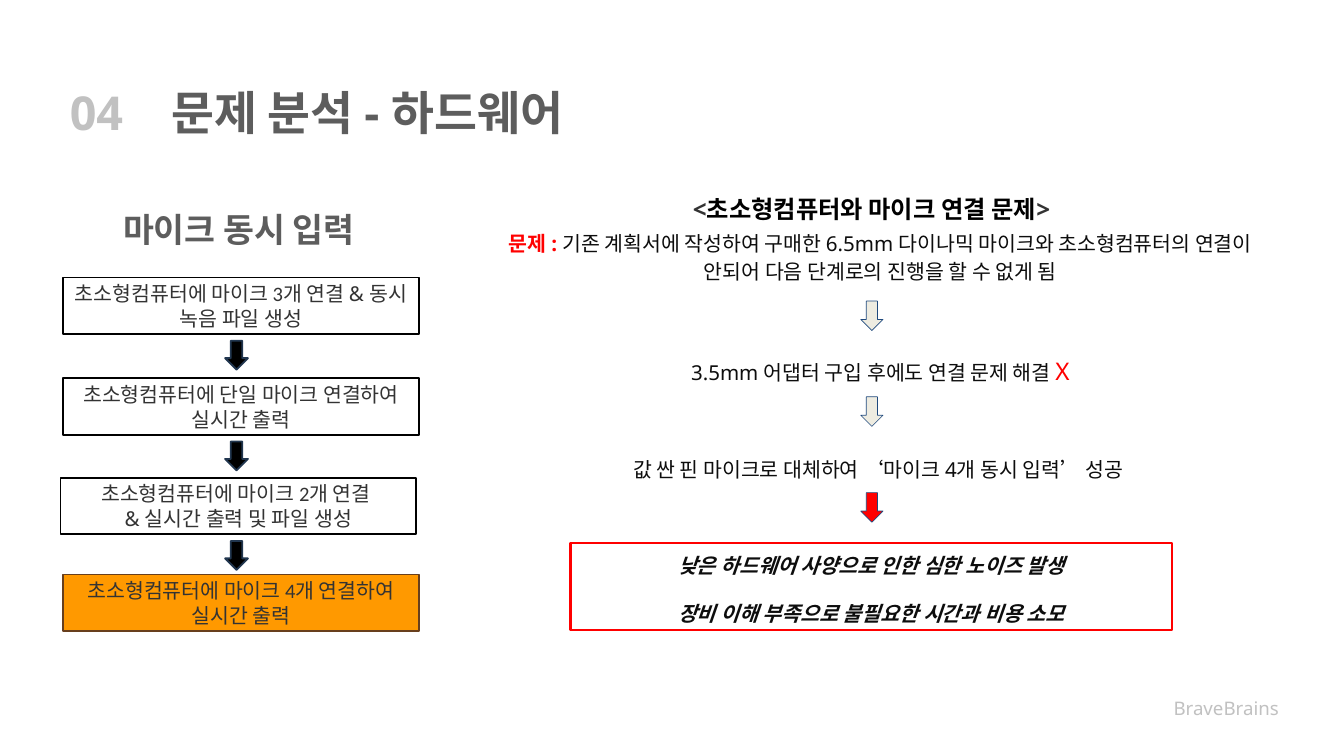
from pptx import Presentation
from pptx.dml.color import RGBColor
from pptx.enum.shapes import MSO_SHAPE
from pptx.enum.text import MSO_ANCHOR, PP_ALIGN
from pptx.util import Inches, Pt

RECT, DOWN = MSO_SHAPE.RECTANGLE, MSO_SHAPE.DOWN_ARROW
LEFT, MID, RIGHT = PP_ALIGN.LEFT, PP_ALIGN.CENTER, PP_ALIGN.RIGHT
TOP, CENTER = MSO_ANCHOR.TOP, MSO_ANCHOR.MIDDLE
SANS, LATIN = "Noto Sans", "Calibri"
DARK, INK, GREY, PALE = "333333", "0D0D0D", "5D5D5D", "C1C1C1"
RED, BLACK, WHITE = "FF0000", "000000", "FFFFFF"

deck = Presentation()
deck.slide_width, deck.slide_height = Inches(20), Inches(11.25)
col, row = deck.slide_width / 100, deck.slide_height / 100
slide = deck.slides.add_slide(deck.slide_layouts[6])


def place(kind, x, y, w, h, fill=None, line=None, width=2):
    """Add a shape, or a text box if kind is None, in percent of the slide."""
    area = [int(n) for n in (x * col, y * row, w * col, h * row)]
    if kind is None:
        return slide.shapes.add_textbox(*area)
    shape = slide.shapes.add_shape(kind, *area)
    shape.shadow.inherit = False
    if fill:
        shape.fill.solid()
        shape.fill.fore_color.rgb = RGBColor.from_string(fill)
    else:
        shape.fill.background()
    shape.line.color.rgb = RGBColor.from_string(line)
    shape.line.width = Pt(width)
    return shape


def write(shape, lines, size, color, bold=False, italic=False, align=MID,
          anchor=CENTER, space=None, gap=0, after=0):
    """Each line is a list of runs: (text, and optionally font, size, color, bold)."""
    frame = shape.text_frame
    frame.word_wrap, frame.vertical_anchor = True, anchor
    if anchor == TOP:
        frame.margin_top = frame.margin_bottom = Inches(0.1)
    for i, runs in enumerate(lines):
        para = frame.add_paragraph() if i else frame.paragraphs[0]
        para.alignment, para.line_spacing = align, space
        para.space_before = Pt(gap if i else 0)
        para.space_after = Pt(after if i == len(lines) - 1 else 0)
        for text, *own in runs:
            face, points, tint, heavy = own + [SANS, size, color, bold][len(own):]
            run = para.add_run()
            run.text = text
            font = run.font
            font.name, font.size = face, Pt(points)
            font.bold, font.italic = heavy, italic
            font.color.rgb = RGBColor.from_string(tint)


# Headings and footer
write(place(None, 4.7, 10.58, 6, 8.36), [[("04",)]], 50, PALE, True, align=LEFT)
slide.shapes[0].left = int(4.7 * col)
write(place(None, 12.25, 10.67, 59.7, 8.36), [[("문제 분석 - 하드웨어",)]],
      50, GREY, True, align=LEFT)
write(place(None, 4.45, 27.11, 26.65, 6.31), [[("마이크 동시 입력",)]], 36, GREY, True)
write(place(None, 53, 91.11, 42.65, 5.16), [[("BraveBrains",)]], 20, PALE, align=RIGHT)

# Left: the four steps, with an arrow below all but the last
steps = [
    (4.7, 36.71, WHITE, BLACK,
     [[("초소형컴퓨터에 마이크 ",), ("3", LATIN), ("개 연결 & 동시 녹음 파일 생성",)]]),
    (4.7, 50.04, WHITE, BLACK,
     [[("초소형컴퓨터에 단일 마이크 연결하여 실시간 출력",)]]),
    (4.5, 63.2, WHITE, BLACK,
     [[("초소형컴퓨터에 마이크 ",), ("2", LATIN), ("개 연결 ",)],
      [("& 실시간 출력 및 파일 생성",)]]),
    (4.7, 76, "FF9900", "683F1D",
     [[("초소형컴퓨터에 마이크 ",), ("4", LATIN), ("개 연결하여 실시간 출력",)]]),
]
for x, y, fill, line, lines in steps:
    write(place(RECT, x, y, 26.45, 7.47, fill, line), lines, 22, DARK)
for step in steps[:-1]:
    place(DOWN, 16.75, step[1] + 8.36, 1.7, 3.82, BLACK, "21364F")

# Right: the problem and how it went
write(place(None, 49.55, 22.93, 30.6, 5.69),
      [[("<",), ("초소형컴퓨터와 마이크 연결 문제", LATIN, 26, BLACK), (">",)]],
      26, DARK, True, anchor=TOP, space=1.5)
write(place(None, 35.65, 29.16, 59.7, 37.51), [
    [("문제 : ", SANS, 22, RED, True),
     ("기존 계획서에 작성하여 구매한 6.5mm 다이나믹 마이크와 초소형컴퓨터의 연결이 "
      "안되어 다음 단계로의 진행을 할 수 없게 됨",)],
    [("3.5mm 어댑터 구입 후에도 연결 문제 해결 ",), ("X", SANS, 26, RED)],
    [("값 싼 핀 마이크로 대체하여 ‘마이크 4개 동시 입력’ 성공 ",)],
], 22, INK, anchor=TOP, space=1.15, gap=73, after=21)
for i, fill in enumerate(["EEECE1", "EEECE1", RED]):
    place(DOWN, 64.05, 39.82 + 12.67 * i, 1.65, 3.91, fill, "1F497D", 0.75)
write(place(RECT, 42.45, 71.82, 44.75, 11.47, None, RED, 2.25),
      [[("낮은 하드웨어 사양으로 인한 심한 노이즈 발생",)],
       [("장비 이해 부족으로 불필요한 시간과 비용 소모",)]],
      22, INK, True, True, anchor=TOP, space=1.15, gap=21, after=21)

deck.save("out.pptx")
